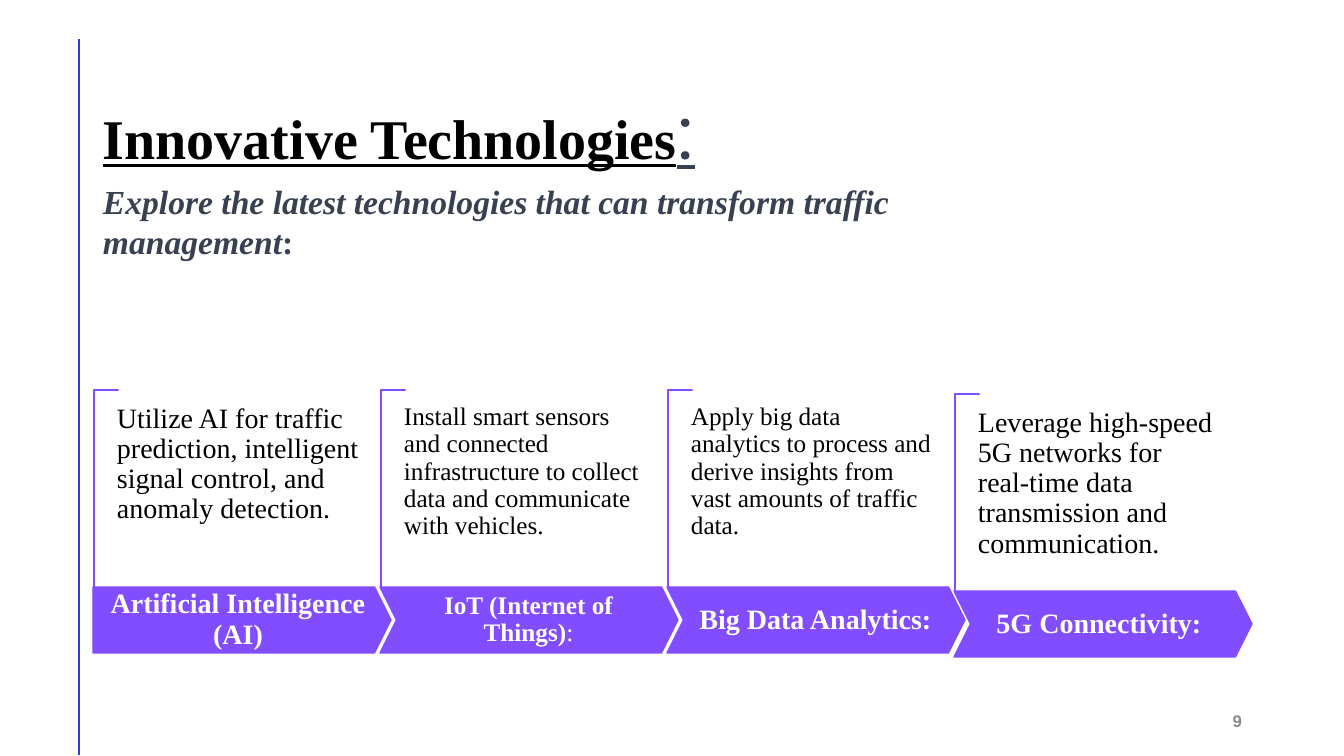
from dataclasses import dataclass

from lxml import etree
from pptx import Presentation
from pptx.dml.color import RGBColor
from pptx.enum.shapes import MSO_CONNECTOR, MSO_SHAPE
from pptx.enum.text import MSO_ANCHOR, MSO_AUTO_SIZE, PP_ALIGN
from pptx.oxml.ns import qn
from pptx.util import Emu, Pt

LEFT, CENTER, RIGHT = PP_ALIGN.LEFT, PP_ALIGN.CENTER, PP_ALIGN.RIGHT
TOP, MIDDLE, BOTTOM = MSO_ANCHOR.TOP, MSO_ANCHOR.MIDDLE, MSO_ANCHOR.BOTTOM
NO_AUTOFIT = MSO_AUTO_SIZE.NONE
STRAIGHT = MSO_CONNECTOR.STRAIGHT
CORNER, PENTAGON, CHEVRON = MSO_SHAPE.CORNER, MSO_SHAPE.PENTAGON, MSO_SHAPE.CHEVRON

TITLE_ONLY = 5
SERIF = "Times New Roman"
BLACK, WHITE, SLATE, GREY = "000000", "FFFFFF", "374151", "8C8C8C"
PURPLE, BLUE = "814DFF", "2E3FDB"
COLUMN_PITCH = 287


@dataclass
class Span:
    text: str
    size: int
    color: str
    font: str = SERIF
    bold: bool = False
    italic: bool = False
    underline: bool = False


@dataclass
class Technology:
    caption: list[Span]
    detail: Span
    drop: int = 0


def heading(text: str, size: int = 20, bold: bool = True) -> Span:
    return Span(text, size, WHITE, bold=bold)


TECHNOLOGIES = [
    Technology(
        [heading("Artificial Intelligence (AI)")],
        Span("Utilize AI for traffic prediction, intelligent signal control, "
             "and anomaly detection.", 20, BLACK),
    ),
    Technology(
        [heading("IoT (Internet of Things)", 18), heading(":", 18, bold=False)],
        Span("Install smart sensors and connected infrastructure to collect data "
             "and communicate with vehicles.", 18, BLACK),
    ),
    Technology(
        [heading("Big Data Analytics:")],
        Span("Apply big data analytics to process and derive insights from vast "
             "amounts of traffic data.", 18, BLACK),
    ),
    Technology(
        [heading("5G Connectivity: ")],
        Span("Leverage high-speed 5G networks for real-time data transmission "
             "and communication.", 20, BLACK),
        drop=4,
    ),
]


def px(length: int) -> Emu:
    return Emu(round(length * 914400 / 100.8))


def rgb(color: str) -> RGBColor:
    return RGBColor.from_string(color)


def place(box, left: int, top: int, width: int, height: int) -> None:
    box.left, box.top, box.width, box.height = map(px, (left, top, width, height))


def write(box, spans: list[Span], *, align=LEFT, anchor=TOP,
          spacing: float = 1.0, insets: tuple[int, int] = (10, 5)) -> None:
    frame = box.text_frame
    frame.word_wrap = True
    frame.auto_size = NO_AUTOFIT
    frame.vertical_anchor = anchor
    frame.margin_left = frame.margin_right = px(insets[0])
    frame.margin_top = frame.margin_bottom = px(insets[1])
    para = frame.paragraphs[0]
    para.alignment = align
    para.line_spacing = spacing
    for span in spans:
        run = para.add_run()
        run.text = span.text
        font = run.font
        font.name, font.size = span.font, Pt(span.size)
        font.bold, font.italic, font.underline = span.bold, span.italic, span.underline
        font.color.rgb = rgb(span.color)


def add_text(page, frame: tuple[int, int, int, int], spans: list[Span], **layout) -> None:
    box = page.shapes.add_textbox(*map(px, frame))
    write(box, spans, **layout)


def add_outline(page, kind, frame: tuple[int, int, int, int], fill: str,
                adjustments: list[float], rotation: int = 0) -> None:
    shape = page.shapes.add_shape(kind, *map(px, frame))
    shape.shadow.inherit = False
    shape.rotation = rotation
    for index, value in enumerate(adjustments):
        shape.adjustments[index] = value
    shape.fill.solid()
    shape.fill.fore_color.rgb = rgb(fill)
    shape.line.color.rgb = rgb(PURPLE)
    shape.line.width = Pt(1)


def add_margin_line(page) -> None:
    line = page.shapes.add_connector(STRAIGHT, px(79), px(39), px(79), px(755))
    line.line.color.rgb = rgb(BLUE)
    line.line.width = Pt(2)
    etree.SubElement(line._element.spPr, qn("a:effectLst"))


def add_technology(page, index: int, technology: Technology) -> None:
    left, drop = 93 + index * COLUMN_PITCH, technology.drop
    first = index == 0
    band_top = 587 + drop
    add_outline(page, CORNER, (left - 86, 477 + drop, 198, 24), WHITE,
                [0.01, 0.01], rotation=90)
    add_outline(page, PENTAGON if first else CHEVRON, (left, band_top, 298, 66),
                PURPLE, [0.25])
    caption_left, caption_width = (left, 290) if first else (left + 16, 265)
    add_text(page, (caption_left, band_top, caption_width, 66), technology.caption,
             align=CENTER, anchor=MIDDLE, spacing=0.9, insets=(14, 28))
    add_text(page, (left + 24, 404 + drop, 242, 127), [technology.detail],
             spacing=0.9, insets=(0, 0))


def main() -> None:
    deck = Presentation()
    deck.slide_width, deck.slide_height = px(1344), px(756)
    page = deck.slides.add_slide(deck.slide_layouts[TITLE_ONLY])
    add_margin_line(page)

    title = page.shapes.title
    place(title, 93, 15, 1159, 166)
    write(title, [
        Span("Innovative Technologies", 40, BLACK, bold=True, underline=True),
        Span(":", 54, SLATE, font="Roboto", underline=True),
    ], anchor=BOTTOM, spacing=0.9)

    add_text(page, (950, 701, 302, 40), [Span("9", 12, GREY, font="Arial", bold=True)],
             align=RIGHT, anchor=MIDDLE)
    for index, technology in enumerate(TECHNOLOGIES):
        add_technology(page, index, technology)
    add_text(page, (93, 176, 895, 92), [
        Span("Explore the latest technologies that can transform traffic management",
             24, SLATE, bold=True, italic=True),
        Span(":", 24, SLATE, bold=True),
    ])
    deck.save("out.pptx")


if __name__ == "__main__":
    main()
